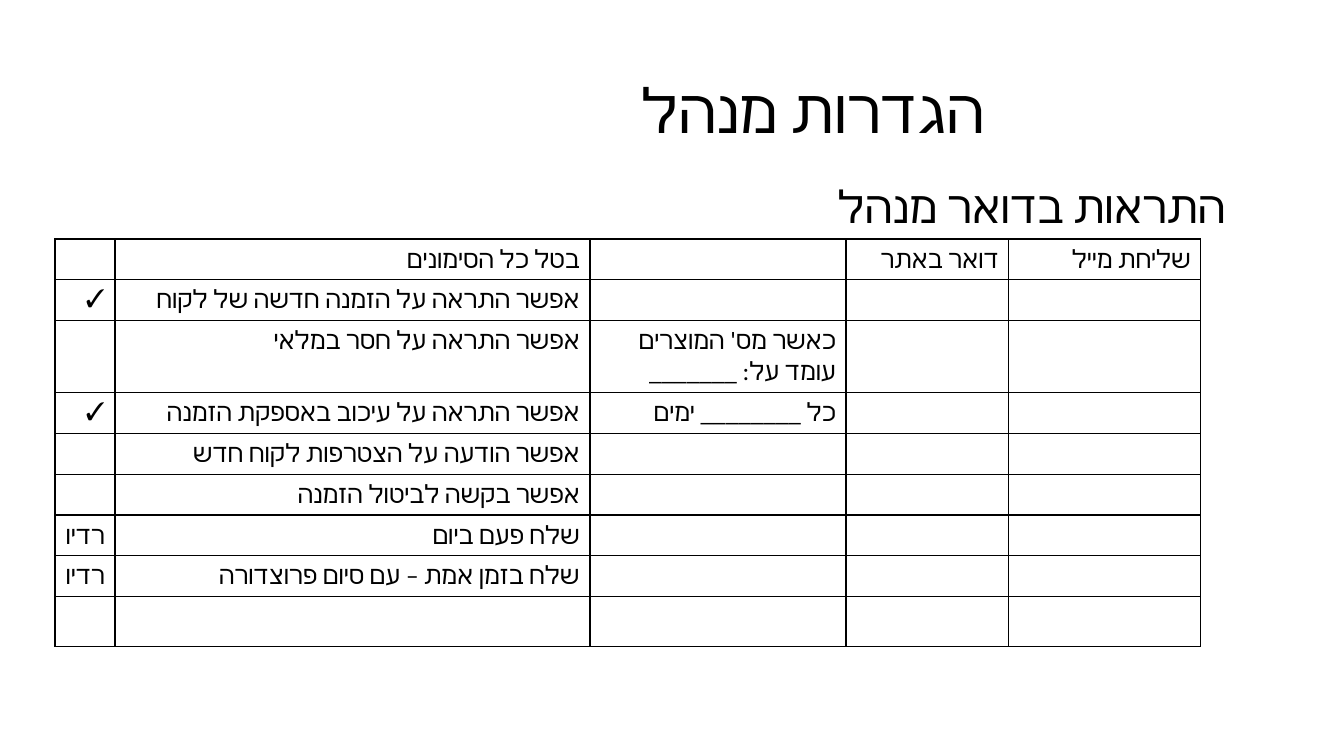
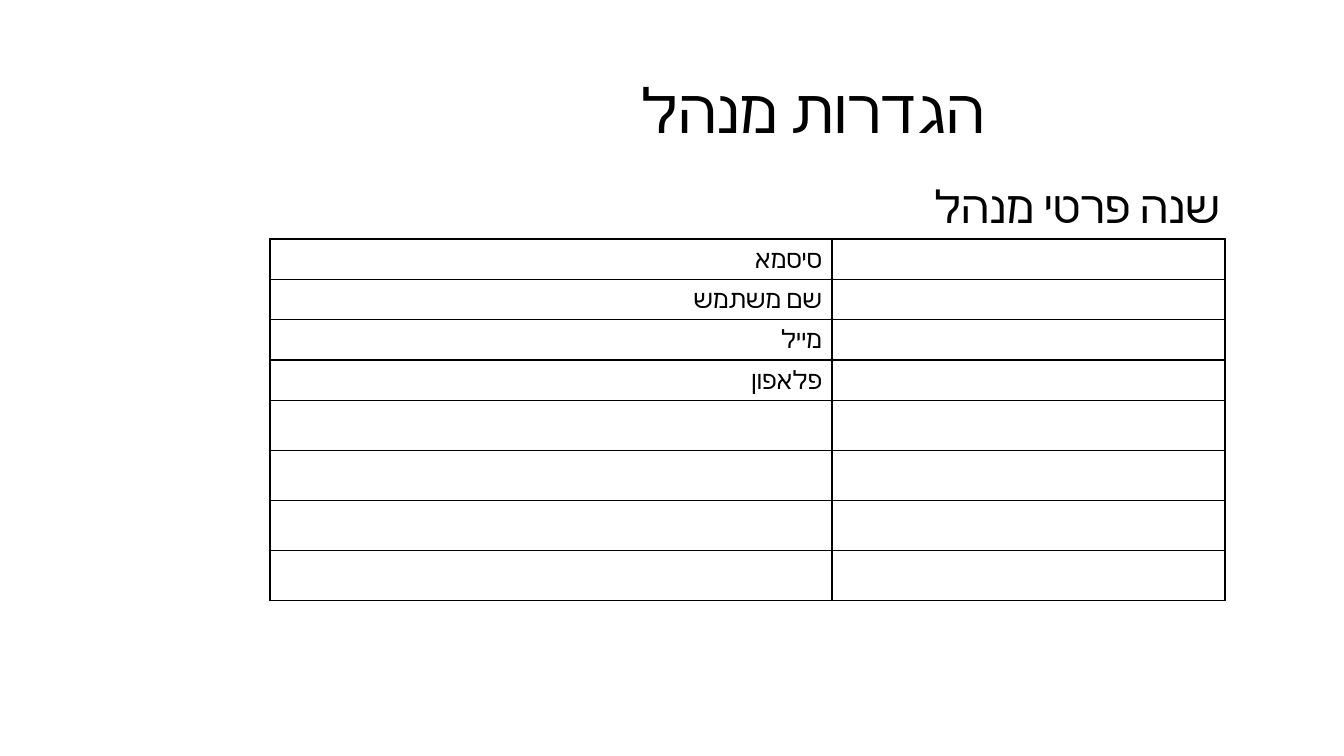
"""Build two right-to-left admin settings slides, each with a heading and a table."""
import dataclasses

import lxml.etree
import pptx
import pptx.dml.color
import pptx.enum.text
import pptx.oxml.ns
import pptx.util

PX = 914400 / 100.8
qn = pptx.oxml.ns.qn


@dataclasses.dataclass(frozen=True)
class Theme:
    ink: str = "000000"
    font: str = "Calibri"
    mark_font: str = "Arial"
    title: int = 44
    heading: int = 32
    body: int = 18
    border: float = 0.96


theme = Theme()


def px(n):
    return pptx.util.Emu(round(n * PX))


def write(tf, text, size):
    p = tf.paragraphs[0]
    p.text = text
    p.alignment = pptx.enum.text.PP_ALIGN.RIGHT
    p.font.size = pptx.util.Pt(size)
    p.font.name = theme.mark_font if text == "✓" else theme.font
    p.font.color.rgb = pptx.dml.color.RGBColor.from_string(theme.ink)
    pPr = p._p.get_or_add_pPr()
    pPr.set("rtl", "1")
    cs = lxml.etree.SubElement(pPr.find(qn("a:defRPr")), qn("a:cs"))
    cs.set("typeface", p.font.name)


TITLE = ("הגדרות מנהל", 630, 67, 365, 84, theme.title)
TABLE_TOP = 239
HEADING_TOP, HEADING_HEIGHT = 174, 64

slides = [
    {
        "heading": ("התראות בדואר מנהל", 826, 410),
        "left": 55,
        "cols": [60, 475, 256, 163, 192],
        "rows": [40, 40, 71, 40, 40, 40, 40, 40, 50],
        "cells": [
            ["", "בטל כל הסימונים", "", "דואר באתר", "שליחת מייל"],
            ["✓", "אפשר התראה על הזמנה חדשה של לקוח"],
            ["", "אפשר התראה על חסר במלאי", "כאשר מס' המוצרים עומד על: _______"],
            ["✓", "אפשר התראה על עיכוב באספקת הזמנה", "כל ________ ימים"],
            ["", "אפשר הודעה על הצטרפות לקוח חדש"],
            ["", "אפשר בקשה לביטול הזמנה"],
            ["רדיו", "שלח פעם ביום"],
            ["רדיו", "שלח בזמן אמת – עם סיום פרוצדורה"],
        ],
    },
    {
        "heading": ("שנה פרטי מנהל", 922, 308),
        "left": 270,
        "cols": [562, 393],
        "rows": [40] * 4 + [50] * 4,
        "cells": [["סיסמא"], ["שם משתמש"], ["מייל"], ["פלאפון"]],
    },
]

prs = pptx.Presentation()
prs.slide_width, prs.slide_height = px(1344), px(756)

for content in slides:
    s = prs.slides.add_slide(prs.slide_layouts[6])

    cols, rows = content["cols"], content["rows"]
    table = s.shapes.add_table(
        len(rows), len(cols), px(content["left"]), px(TABLE_TOP), px(sum(cols)), px(sum(rows))
    ).table
    table.first_row = table.horz_banding = False
    for column, width in zip(table.columns, cols):
        column.width = px(width)
    for row, height in zip(table.rows, rows):
        row.height = px(height)

    for cell in table.iter_cells():
        tcPr = cell._tc.get_or_add_tcPr()
        for side in ("a:lnL", "a:lnR", "a:lnT", "a:lnB"):
            ln = lxml.etree.SubElement(tcPr, qn(side), w=str(pptx.util.Pt(theme.border)))
            fill = lxml.etree.SubElement(ln, qn("a:solidFill"))
            lxml.etree.SubElement(fill, qn("a:srgbClr"), val=theme.ink)
        cell.fill.background()

    for r, texts in enumerate(content["cells"]):
        for c, text in enumerate(texts):
            if text:
                write(table.cell(r, c).text_frame, text, theme.body)

    text, left, width = content["heading"]
    heading = (text, left, HEADING_TOP, width, HEADING_HEIGHT, theme.heading)
    for text, left, top, width, height, size in (TITLE, heading):
        sp = s.shapes.add_textbox(px(left), px(top), px(width), px(height))
        sp.text_frame.word_wrap = False
        write(sp.text_frame, text, size)

prs.save("out.pptx")
